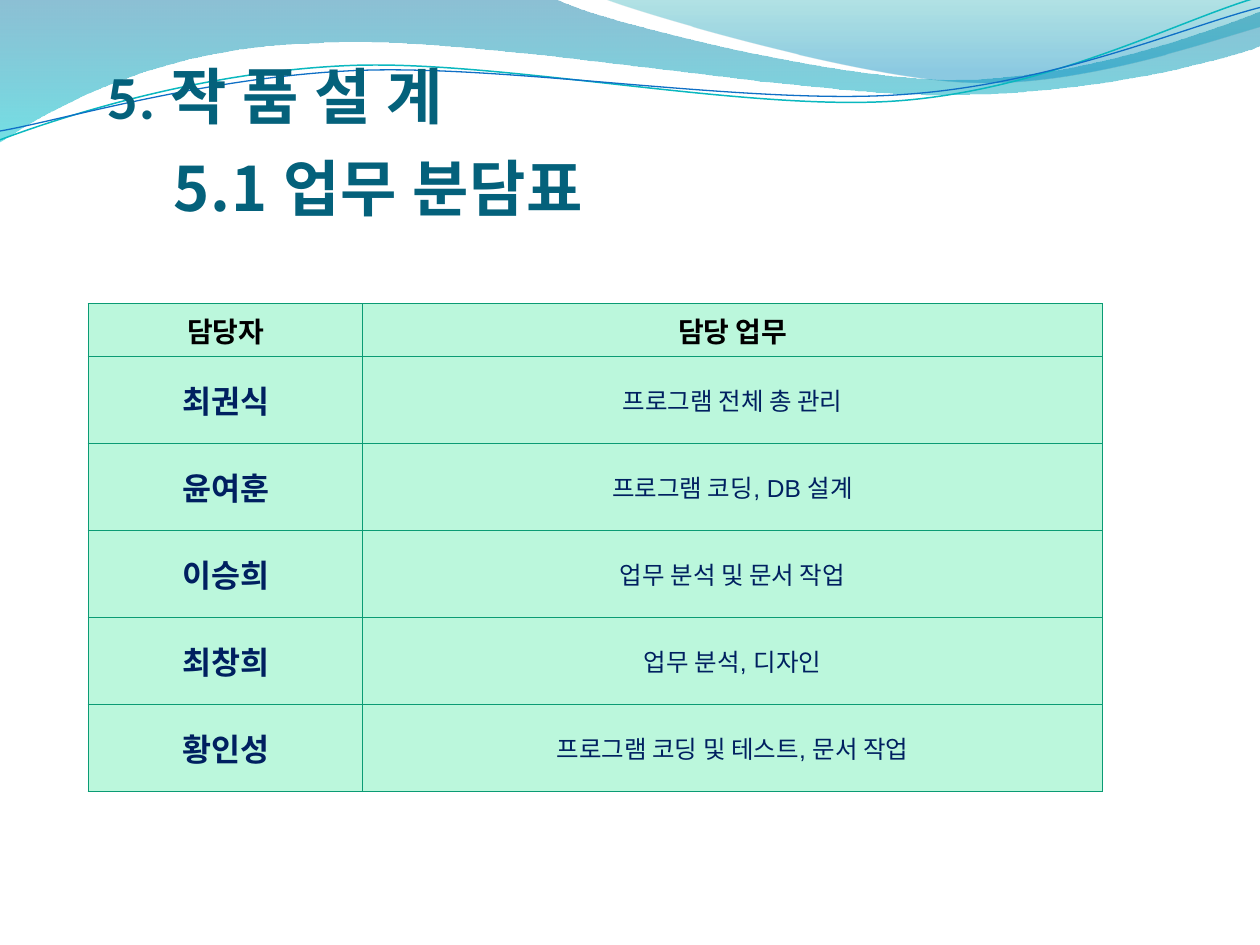
import math

from lxml import etree
from pptx import Presentation, util as u
from pptx.dml.color import RGBColor
from pptx.enum import text
from pptx.oxml import ns

Inches = u.Inches
HANGUL_FONT = "Noto Sans CJK KR"
TITLE_COLOUR = "04617B"
NAVY = "002060"


def colour(code):
    return RGBColor.from_string(code)


def add_node(parent, tag, **attributes):
    return etree.SubElement(parent, ns.qn(tag), attributes)


def turn(points, degrees, centre):
    """Rotate points clockwise on screen around centre."""
    cos, sin = math.cos(math.radians(degrees)), math.sin(math.radians(degrees))
    offsets = [(x - centre[0], y - centre[1]) for x, y in points]
    return [(centre[0] + x * cos - y * sin, centre[1] + x * sin + y * cos)
            for x, y in offsets]


class SlideBuilder:
    def __init__(self, slide):
        self.slide = slide

    def style(self, paragraph, size, code, bold, latin):
        font = paragraph.font
        font.size, font.bold, font.name = u.Pt(size), bold, latin
        font.color.rgb = colour(code)

    def outline(self, segments, close, rotation=0, centre=(0, 0)):
        """Freeform from segments of one point (line) or three points (cubic curve)."""
        points = [point for segment in segments for point in segment]
        points = [(Inches(x), Inches(y)) for x, y in turn(points, -rotation, centre)]
        builder = self.slide.shapes.build_freeform(*points[0])
        builder.add_line_segments(points[1:], close=close)
        shape = builder.convert_to_shape()
        shape.rotation = rotation
        shape.shadow.inherit = False
        lines = iter(list(shape._element.iter(ns.qn("a:lnTo"))))
        for segment in segments[1:]:
            group = [next(lines) for _ in segment]
            if len(group) == 3:
                curve = etree.Element(ns.qn("a:cubicBezTo"))
                group[0].addprevious(curve)
                for line in group:
                    curve.append(line[0])
                    line.getparent().remove(line)
        return shape

    def wave(self, segments, stops):
        """Closed outline with a top-down gradient of (position, colour, opacity %)."""
        shape = self.outline(segments, True)
        shape.line.fill.background()
        shape.fill.gradient()
        shape.fill.gradient_angle = 270
        for stop, (position, code, opacity) in zip(shape.fill.gradient_stops, stops):
            stop.position = position
            stop.color.rgb = colour(code)
            add_node(stop._element.find(ns.qn("a:srgbClr")), "a:alpha",
                     val=str(opacity * 1000))

    def strand(self, segments, centre, code, width):
        shape = self.outline(segments, False, -2.7, centre)
        shape.fill.background()
        shape.line.color.rgb = colour(code)
        shape.line.width = u.Pt(width)

    def heading(self, words, box, latin, align):
        shape = self.slide.shapes.add_textbox(*map(Inches, box))
        frame = shape.text_frame
        frame.word_wrap = True
        frame.vertical_anchor = text.MSO_ANCHOR.MIDDLE
        paragraph = frame.paragraphs[0]
        paragraph.text = words
        paragraph.alignment = align
        self.style(paragraph, 35, TITLE_COLOUR, True, latin)
        for run in paragraph.runs:
            run.font._element.set("spc", "50")

    def cell(self, cell, words, size, code, bold, latin):
        cell.vertical_anchor = text.MSO_ANCHOR.MIDDLE
        paragraph = cell.text_frame.paragraphs[0]
        paragraph.text = words
        paragraph.alignment = text.PP_ALIGN.CENTER
        self.style(paragraph, size, code, bold, latin)
        indent = Inches(0.38)
        properties = paragraph._p.get_or_add_pPr()
        properties.set("marL", str(indent))
        properties.set("indent", str(-indent))
        for side in ("a:lnL", "a:lnR", "a:lnT", "a:lnB"):
            line = add_node(cell._tc.get_or_add_tcPr(), side, w=str(u.Pt(0.75)))
            add_node(add_node(line, "a:solidFill"), "a:srgbClr", val="0A9B74")
        cell.fill.solid()
        cell.fill.fore_color.rgb = colour("BBF7DC")

    def duty_table(self, header, duties, box, widths, heights):
        rows = [header] + duties
        table = self.slide.shapes.add_table(len(rows), len(header),
                                            *map(Inches, box)).table
        table.first_row = table.horz_banding = False
        for column, width in zip(table.columns, widths):
            column.width = Inches(width)
        header_style = (16, "000000", True, HANGUL_FONT)
        duty_styles = ((18, NAVY, True, "Arial"), (14, NAVY, False, "Arial"))
        for i, row in enumerate(rows):
            table.rows[i].height = Inches(heights[min(i, 1)])
            for j, words in enumerate(row):
                self.cell(table.cell(i, j), words,
                          *(duty_styles[j] if i else header_style))


def main():
    presentation = Presentation()
    presentation.slide_width, presentation.slide_height = Inches(10), Inches(7.5)
    builder = SlideBuilder(presentation.slides.add_slide(presentation.slide_layouts[6]))

    builder.wave([[(0, 0)], [(4.4, -0.01)],
                  [(4.76, 0.17), (6.64, 0.63), (7.58, 0.63)],
                  [(8.53, 0.63), (9.58, 0.26), (10, 0.09)], [(10.01, 0.36)],
                  [(9.83, 0.44), (8.7, 0.76), (7.46, 0.75)],
                  [(6.22, 0.75), (3.82, 0.28), (2.57, 0.34)],
                  [(1.29, 0.36), (0.46, 0.83), (-0.01, 1.13)]],
                 [(0, "0074A1", 45), (1, "00C6CF", 55)])
    builder.wave([[(4.79, -0.01)],
                  [(5.09, 0.11), (6.82, 0.62), (7.69, 0.65)],
                  [(8.56, 0.69), (9.61, 0.32), (10, 0.21)], [(10, 0)]],
                 [(0, "00A1A9", 30), (0.8, "008BBF", 45)])
    builder.strand([[(0, 1.11)],
                    [(0.48, 0.93), (1.58, 0.57), (2.77, 0.52)],
                    [(3.95, 0.47), (5.93, 0.89), (7.13, 0.8)],
                    [(8.33, 0.71), (9.38, 0.15), (9.98, -0.02)]],
                   (4.99, 0.58), "0AB8BF", 0.85)
    builder.strand([[(0, 1.04)],
                    [(0.47, 0.96), (1.64, 0.61), (2.83, 0.56)],
                    [(4.03, 0.51), (5.97, 0.84), (7.17, 0.75)],
                    [(8.36, 0.67), (9.41, 0.21), (10, 0.06)]],
                   (5, 0.59), "0F6FC6", 0.75)

    builder.heading("5. 작 품 설 계", (0.75, 0.21, 4.57, 1.09), "Calibri",
                    text.PP_ALIGN.LEFT)
    builder.duty_table(("담당자", "담당 업무"),
                       [("최권식", "프로그램 전체 총 관리"),
                        ("윤여훈", "프로그램 코딩, DB 설계"),
                        ("이승희", "업무 분석 및 문서 작업"),
                        ("최창희", "업무 분석, 디자인"),
                        ("황인성", "프로그램 코딩 및 테스트, 문서 작업")],
                       (0.7, 2.41, 8.05, 3.87), (2.18, 5.87), (0.42, 0.69))
    builder.heading("5.1 업무 분담표", (0.55, 0.94, 4.91, 1.09), HANGUL_FONT,
                    text.PP_ALIGN.CENTER)
    presentation.save("out.pptx")


if __name__ == "__main__":
    main()
